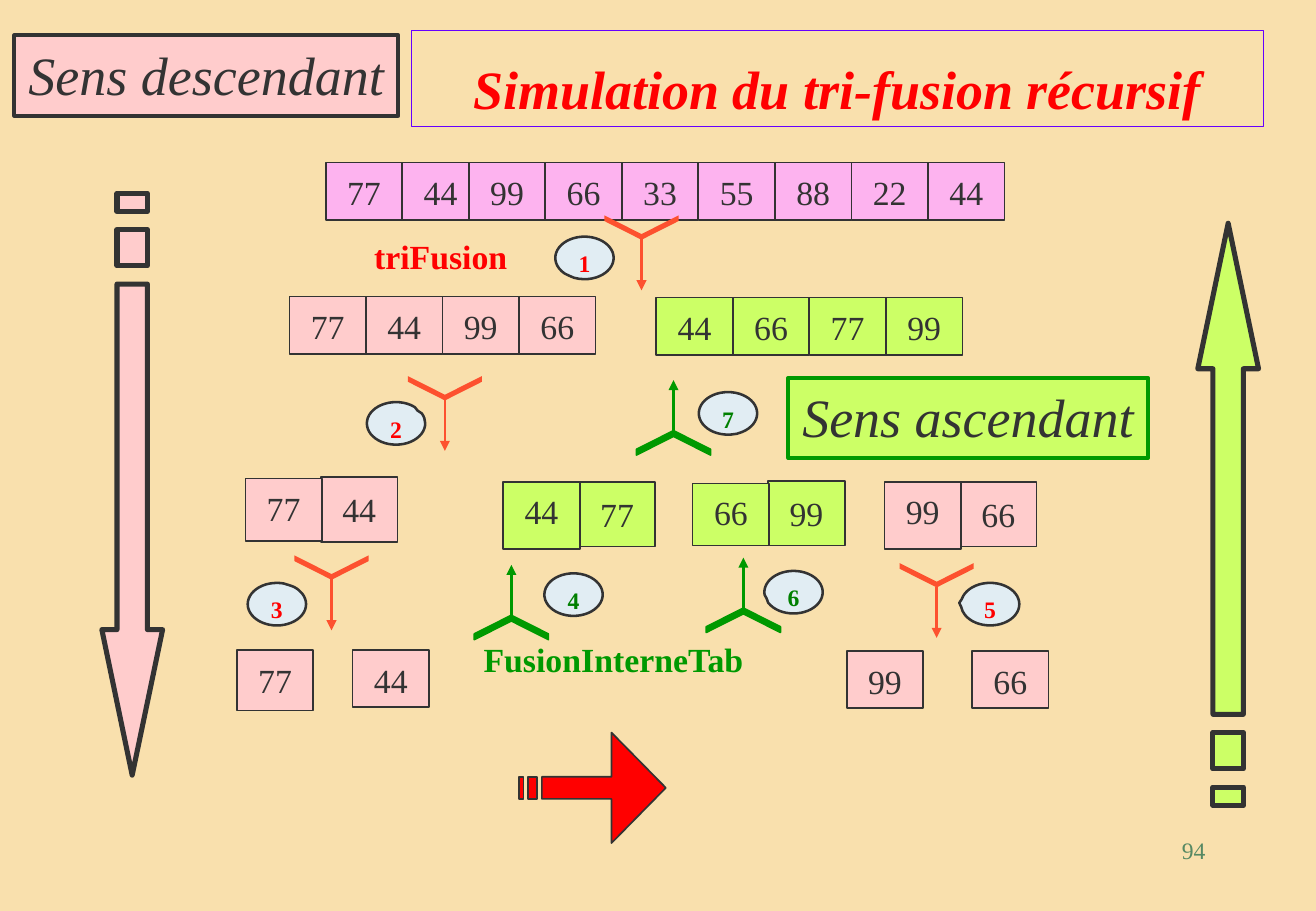
from lxml import etree
from pptx import Presentation
from pptx import util as u
from pptx.dml import color
from pptx.enum import shapes, text
from pptx.oxml import ns

INK = "333333"
PINK = "FFCCCC"
LILAC = "FDB3EF"
LIME = "CCFF66"
GREEN = "009900"
RED = "FF0000"
CORAL = "FD512F"
CELL = 1.6
KINDS = shapes.MSO_SHAPE


def paint(part, tint):
    part.solid()
    part.fore_color.rgb = color.RGBColor.from_string(tint)


def style(shape, fill=None, line=None, width=1):
    shape.shadow.inherit = False
    if fill:
        paint(shape.fill, fill)
    else:
        shape.fill.background()
    if line:
        paint(shape.line.fill, line)
        shape.line.width = u.Pt(width)
    else:
        shape.line.fill.background()
    return shape


def form(slide, kind, box, **look):
    shape = slide.shapes.add_shape(kind, *map(u.Cm, box))
    return style(shape, **look)


def write(shape, words, size=20, tint=INK, bold=False, italic=False,
          align="CENTER", anchor="TOP", wrap=True, top=0.13):
    frame = shape.text_frame
    frame.word_wrap = wrap
    frame.margin_top = u.Cm(top)
    frame.vertical_anchor = text.MSO_ANCHOR[anchor]
    para = frame.paragraphs[0]
    para.alignment = text.PP_ALIGN[align]
    run = para.add_run()
    run.text = words
    font = run.font
    font.name = "Times New Roman"
    font.size = u.Pt(size)
    font.bold = bold
    font.italic = italic
    paint(font.fill, tint)


def label(slide, words, box, **fmt):
    write(slide.shapes.add_textbox(*map(u.Cm, box)), words, **fmt)


def sign(slide, words, box, fill, line):
    shape = form(slide, KINDS.RECTANGLE, box, fill=fill, line=line, width=2.25)
    write(shape, words, size=32, italic=True, wrap=False)


def cell(slide, value, x, y, fill, high=1.2, top=0.2):
    shape = form(slide, KINDS.RECTANGLE, (x, y, CELL, high), fill=fill, line=INK)
    write(shape, value, top=top)


def row(slide, values, x, y, fill):
    for i, value in enumerate(values.split()):
        cell(slide, value, x + i * CELL, y, fill)


def pair(slide, values, x, y, fill, high, rise):
    left, right = values.split()
    cell(slide, right, x + 1.58, y - rise, fill, high=1.35, top=0.25)
    cell(slide, left, x, y, fill, high=high, top=0.18)


def fork(slide, x, y, down):
    way = 1 if down else -1
    tint = CORAL if down else GREEN
    wide, high = 0.51, 1.55
    mark = form(slide, KINDS.CHEVRON, (x - wide / 2, y - high / 2, wide, high),
                fill=tint, line=None if down else tint)
    mark.adjustments[0] = 0.765
    mark.rotation = 90 * way
    stem = slide.shapes.add_connector(
        shapes.MSO_CONNECTOR.STRAIGHT,
        u.Cm(x), u.Cm(y + 0.24 * way), u.Cm(x), u.Cm(y + 1.31 * way))
    paint(stem.line.fill, tint)
    stem.line.width = u.Pt(1.5)
    etree.SubElement(stem.line._get_or_add_ln(), ns.qn("a:tailEnd"), type="triangle")
    etree.SubElement(stem._element.spPr, ns.qn("a:effectLst"))


def step(slide, number, x, y, tint, tip):
    shape = form(slide, KINDS.OVAL_CALLOUT, (x, y, 1.22, 0.89),
                 fill="E1EDF3", line=INK, width=1.5)
    shape.adjustments[0], shape.adjustments[1] = tip
    write(shape, str(number), size=14, tint=tint, bold=True)


def arrow(slide, x, y, span, wide, fill, width, neck=0.75, edge=0.25, upright=True):
    def spot(along, across):
        if upright:
            return u.Cm(x + across * wide), u.Cm(y + along * span)
        return u.Cm(x + along * span), u.Cm(y + across * wide)

    low, far = edge, 1 - edge
    paths = [[(5 / 32, low), (neck, low), (neck, 0), (1, 0.5),
              (neck, 1), (neck, far), (5 / 32, far)]]
    for start, end in ((2 / 32, 4 / 32), (0, 1 / 32)):
        paths.append([(start, low), (end, low), (end, far), (start, far)])
    pen = None
    for path in paths:
        first, *rest = [spot(*point) for point in path]
        if pen is None:
            pen = slide.shapes.build_freeform(*first)
        else:
            pen.move_to(*first)
        pen.add_line_segments(rest, close=True)
    style(pen.convert_to_shape(), fill=fill, line=INK, width=width)


def main():
    deck = Presentation()
    deck.slide_width, deck.slide_height = u.Cm(27.51), u.Cm(19.05)
    slide = deck.slides.add_slide(deck.slide_layouts[6])
    paint(slide.background.fill, "F9E0AD")

    label(slide, "94", (19.71, 17.35, 5.74, 1.27), size=14, tint="578963", align="RIGHT")
    title = form(slide, KINDS.RECTANGLE, (8.61, 0.64, 17.81, 2.01),
                 line="6600FF", width=0.75)
    write(title, "Simulation du tri-fusion récursif", size=32, tint=RED,
          bold=True, italic=True, anchor="BOTTOM")
    sign(slide, "Sens descendant", (0.3, 0.74, 8.03, 1.68), PINK, INK)
    sign(slide, "Sens ascendant", (16.48, 7.9, 7.52, 1.68), LIME, GREEN)

    arrow(slide, 25.04, 16.84, -12.17, 1.27, LIME, 3)
    arrow(slide, 2.13, 4.04, 12.17, 1.27, PINK, 3)
    arrow(slide, 10.85, 15.32, 3.07, 2.31, RED, 1, neck=0.63, edge=0.4, upright=False)

    for values, x, y, fill in (
            ("77 44", 6.81, 3.4, LILAC),
            ("99 66 33 55 88 22 44", 9.8, 3.4, LILAC),
            ("77 44 99 66", 6.05, 6.2, PINK),
            ("44 66 77 99", 13.72, 6.22, LIME),
            ("44", 7.37, 13.59, PINK),
            ("99", 17.7, 13.61, PINK),
            ("66", 20.32, 13.61, PINK)):
        row(slide, values, x, y, fill)
    cell(slide, "77", 4.95, 13.59, PINK, high=1.27)

    for values, x, y, fill, high, rise in (
            ("77 44", 5.13, 10.01, PINK, 1.3, 0.03),
            ("44 77", 10.52, 10.08, LIME, 1.4, 0),
            ("66 99", 14.48, 10.11, LIME, 1.3, 0.05),
            ("99 66", 18.49, 10.08, PINK, 1.4, 0)):
        pair(slide, values, x, y, fill, high, rise)

    for x, y in ((13.41, 4.76), (9.3, 8.12), (6.93, 11.87), (19.58, 12.03)):
        fork(slide, x, y, True)
    for x, y in ((10.69, 13.12), (15.54, 12.97), (14.08, 9.26)):
        fork(slide, x, y, False)

    for number, x, y, tint, tip in (
            (1, 11.61, 4.95, RED, (-0.26, 0.42)),
            (2, 7.67, 8.41, RED, (0.37, -0.3)),
            (3, 5.18, 12.19, RED, (0.2, -0.45)),
            (4, 11.38, 11.99, "008000", (-0.5, 0.03)),
            (5, 20.09, 12.19, RED, (-0.53, -0.03)),
            (6, 15.98, 11.94, "008000", (-0.46, 0.15)),
            (7, 14.61, 8.2, "008000", (0.15, 0.48))):
        step(slide, number, x, y, tint, tip)

    label(slide, "triFusion", (7.57, 4.8, 3.81, 1.09), tint=RED, bold=True, align="LEFT")
    label(slide, "FusionInterneTab", (9.86, 13.23, 6.4, 1.09), tint=GREEN,
          bold=True, align="LEFT")
    deck.save("out.pptx")


if __name__ == "__main__":
    main()
